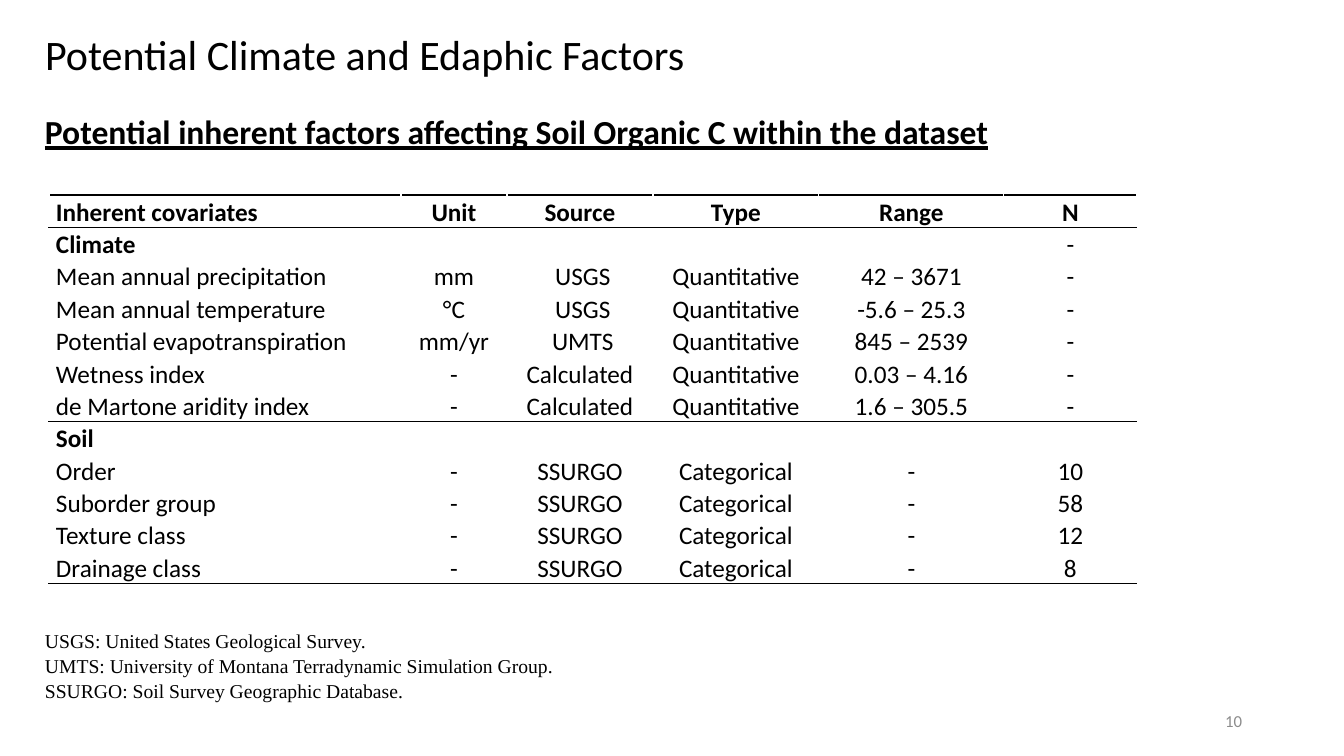
from lxml.etree import SubElement
from pptx import Presentation
from pptx.dml.color import RGBColor
from pptx.enum.text import MSO_ANCHOR as Anchor, MSO_AUTO_SIZE as AutoSize, PP_ALIGN as Align
from pptx.oxml.ns import qn
from pptx.util import Emu, Pt

PX = 914400 / 100.8


def px(*lengths):
    return [Emu(round(length * PX)) for length in lengths]


def write(frame, text, size=18, font="Calibri", color="000000", bold=False,
          underline=False, align=Align.LEFT, spacing=None):
    frame.word_wrap = True
    frame.text = text
    for paragraph in frame.paragraphs:
        paragraph.alignment = align
        paragraph.line_spacing = spacing
        for run in paragraph.runs:
            run.font.name, run.font.size = font, Pt(size)
            run.font.bold, run.font.underline = bold, underline
            run.font.color.rgb = RGBColor.from_string(color)


deck = Presentation()
deck.slide_width, deck.slide_height = px(1344, 756)
slide = deck.slides.add_slide(deck.slide_layouts[5])

# Title and subtitle
title = slide.shapes.title
title.left, title.top, title.width, title.height = px(35, 23, 821, 61)
title.text_frame.vertical_anchor = Anchor.TOP
title.text_frame.auto_size = AutoSize.SHAPE_TO_FIT_TEXT
write(title.text_frame, "Potential Climate and Edaphic Factors", size=30)

subtitle = slide.shapes.add_textbox(*px(35, 106, 1286, 50)).text_frame
subtitle.auto_size = AutoSize.SHAPE_TO_FIT_TEXT
write(subtitle, "Potential inherent factors affecting Soil Organic C within the dataset",
      size=24, bold=True, underline=True)

# Covariate table
covariates = [
    ("Inherent covariates", "Unit", "Source", "Type", "Range", "N"),
    ("Climate", "", "", "", "", "-"),
    ("Mean annual precipitation", "mm", " USGS", "Quantitative", "42 – 3671", "-"),
    ("Mean annual temperature", "°C", " USGS", "Quantitative", "-5.6 – 25.3", "-"),
    ("Potential evapotranspiration", "mm/yr", " UMTS", "Quantitative", "845 – 2539", "-"),
    ("Wetness index", "-", "Calculated", "Quantitative", "0.03 – 4.16", "-"),
    ("de Martone aridity index", "-", "Calculated", "Quantitative", "1.6 – 305.5", "-"),
    ("Soil", "", "", "", "", ""),
    ("Order", "-", "SSURGO", "Categorical", "-", "10"),
    ("Suborder group", "-", "SSURGO", "Categorical", "-", "58"),
    ("Texture class", "-", "SSURGO", "Categorical", "-", "12"),
    ("Drainage class", "-", "SSURGO", "Categorical", "-", "8"),
]
column_widths = [352, 106, 146, 166, 185, 133]
ruled_edges = {0, 1, 7, 12}  # row boundaries that carry a black rule

table = slide.shapes.add_table(len(covariates), len(column_widths),
                               *px(49, 195, sum(column_widths), 388)).table
table.first_row = table.horz_banding = False
for column, width in zip(table.columns, px(*column_widths)):
    column.width = width

for row, values in enumerate(covariates):
    for col, value in enumerate(values):
        cell = table.cell(row, col)
        cell.margin_left, cell.margin_right, cell.margin_top, cell.margin_bottom = px(7, 7, 0, 0)
        write(cell.text_frame, value, spacing=1.07,
              bold=row == 0 or value in ("Climate", "Soil"),
              align=Align.CENTER if col else Align.JUSTIFY)
        top, bottom = ("000000" if edge in ruled_edges else "FFFFFF" for edge in (row, row + 1))
        borders = {"a:lnL": "FFFFFF", "a:lnR": "FFFFFF", "a:lnT": top, "a:lnB": bottom}
        for side, color in borders.items():
            line = SubElement(cell._tc.get_or_add_tcPr(), qn(side), w=str(Pt(1)))
            SubElement(SubElement(line, qn("a:solidFill")), qn("a:srgbClr"), val=color)
        cell.fill.background()

# Source abbreviations
abbreviations = slide.shapes.add_textbox(*px(35, 622, 884, 85)).text_frame
abbreviations.auto_size = AutoSize.SHAPE_TO_FIT_TEXT
write(abbreviations, "USGS: United States Geological Survey.\n"
      "UMTS: University of Montana Terradynamic Simulation Group.\n"
      "SSURGO: Soil Survey Geographic Database.",
      size=14, font="Times New Roman", align=Align.JUSTIFY, spacing=1.07)

# Page number
page_number = slide.shapes.add_textbox(*px(950, 701, 302, 40)).text_frame
page_number.vertical_anchor = Anchor.MIDDLE
write(page_number, "10", size=12, color="8C8C8C", align=Align.RIGHT)

deck.save("out.pptx")
